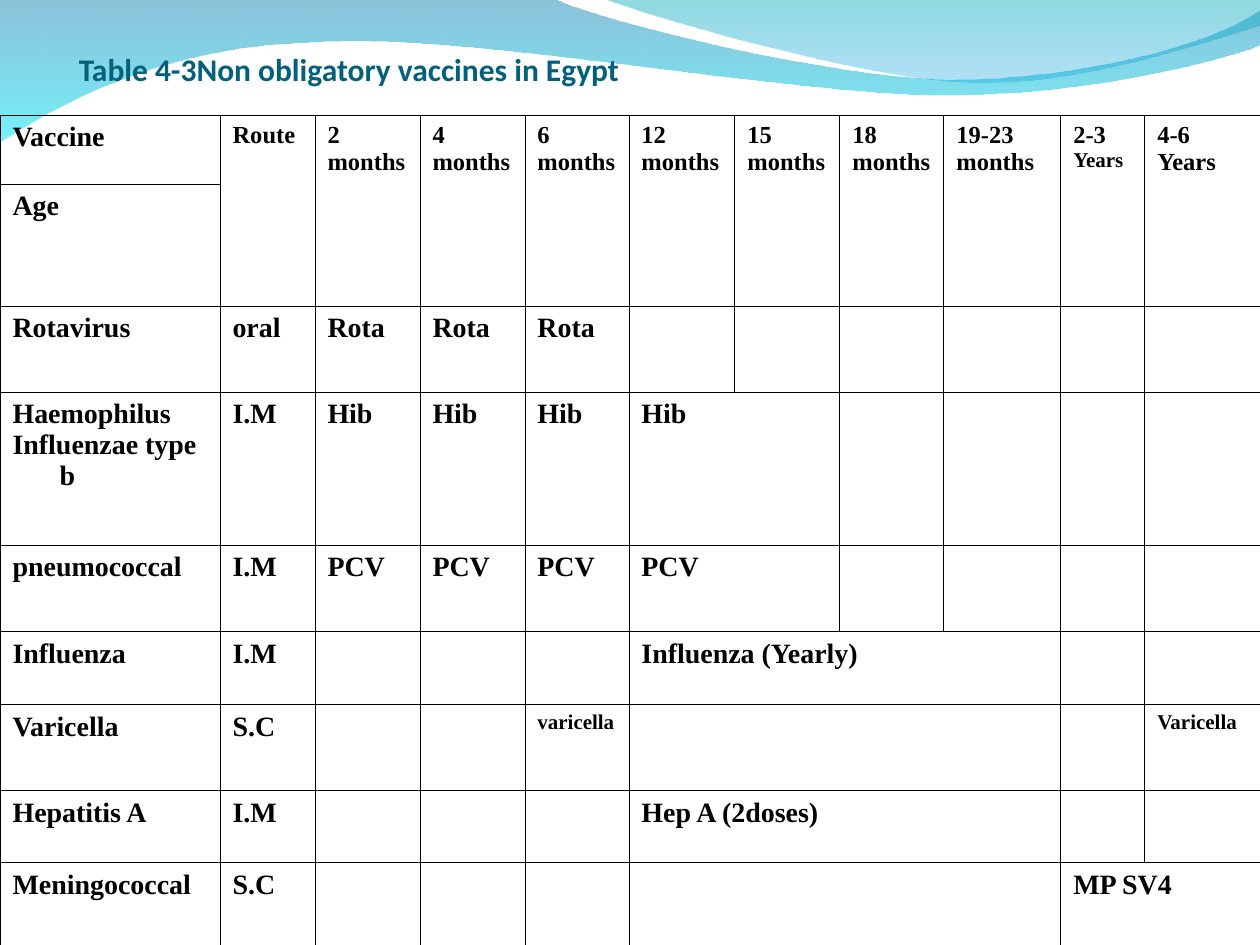
from lxml import etree
from pptx import Presentation
from pptx import util as u
from pptx.dml.color import RGBColor
from pptx.enum import text
from pptx.oxml import ns

PX = 914400 / 126
SERIF = "Times New Roman"
COLUMNS = [220, 95, 105, 105, 104, 106, 105, 104, 117, 84, 116]
ROWS = [69, 122, 86, 153, 87, 73, 86, 72, 83]
AGES = ["2\nmonths", "4\nmonths", "6\nmonths", "12\nmonths", "15\nmonths",
        "18\nmonths", "19-23\nmonths", "2-3\nYears", "4-6\nYears"]
CONTENT = [
    ["Vaccine", "Route"] + AGES,
    ["Age"],
    ["Rotavirus", "oral", "Rota", "Rota", "Rota"],
    ["Haemophilus\nInfluenzae type b", "I.M", "Hib", "Hib", "Hib", "Hib"],
    ["pneumococcal", "I.M", "PCV", "PCV", "PCV", "PCV"],
    ["Influenza", "I.M", "", "", "", "Influenza (Yearly)"],
    ["Varicella", "S.C", "", "", "varicella", "", "", "", "", "", "Varicella"],
    ["Hepatitis A", "I.M", "", "", "", "Hep A (2doses)"],
    ["Meningococcal", "S.C", "", "", "", "", "", "", "", "MP SV4"],
]
MERGES = [(0, column, 1, column) for column in range(1, len(COLUMNS))]
MERGES += [(row, 5, row, 6) for row in (3, 4)]
MERGES += [(row, 5, row, 8) for row in (5, 6, 7, 8)] + [(8, 9, 8, 10)]
SMALL_SIZES = {(0, column): [14, 14] for column in range(1, len(COLUMNS))}
SMALL_SIZES.update({(0, 9): [14, 12], (6, 4): [12], (6, 10): [12]})

LONG_WAVE = [
    [(0, -1)],
    [(554, -1)],
    [(600, 21), (837, 79), (955, 79)],
    [(1075, 79), (1207, 47), (1260, 11)],
    [(1261, 45)],
    [(1239, 55), (1096, 96), (940, 95)],
    [(784, 94), (481, 35), (324, 42)],
    [(163, 44), (58, 105), (-1, 142)],
]
RIGHT_WAVE = [
    [(604, -1)],
    [(641, 14), (859, 78), (969, 82)],
    [(1079, 87), (1211, 40), (1260, 26)],
    [(1260, 0)],
]


def px(value):
    return u.Emu(round(value * PX))


def color(value):
    return RGBColor.from_string(value)


def bend_segments(shape, segments):
    lines = iter(list(shape._element.iter(ns.qn("a:lnTo"))))
    for segment in segments:
        group = [next(lines) for _ in segment]
        if len(group) == 3:
            group[0].tag = ns.qn("a:cubicBezTo")
            for line in group[1:]:
                group[0].append(line[0])
                line.getparent().remove(line)


def add_wave(slide, segments, stops):
    points = [(px(x), px(y)) for segment in segments for x, y in segment]
    builder = slide.shapes.build_freeform(*points[0])
    builder.add_line_segments(points[1:], close=True)
    shape = builder.convert_to_shape()
    bend_segments(shape, segments[1:])
    shape.shadow.inherit = False
    shape.line.fill.background()
    shape.fill.gradient()
    shape.fill.gradient_angle = 270
    for stop, (value, opacity) in zip(shape.fill.gradient_stops, stops):
        stop.color.rgb = color(value)
        rgb = stop._gs.find(ns.qn("a:srgbClr"))
        etree.SubElement(rgb, ns.qn("a:alpha"), val=str(opacity * 1000))


def add_run(paragraph, content, *, size, font=SERIF, fill="000000", bold=True):
    run = paragraph.add_run()
    run.text = content
    run.font.size = u.Pt(size)
    run.font.name = font
    run.font.bold = bold
    run.font.color.rgb = color(fill)


def format_title(slide):
    title = slide.shapes.title
    title.left, title.top, title.width, title.height = px(63), px(31), px(1134), px(63)
    frame = title.text_frame
    frame.auto_size = text.MSO_AUTO_SIZE.NONE
    frame.vertical_anchor = text.MSO_ANCHOR.BOTTOM
    frame.margin_left = frame.margin_right = frame.margin_bottom = 0
    frame.margin_top = px(6)
    paragraph = frame.paragraphs[0]
    paragraph.alignment = text.PP_ALIGN.LEFT
    paragraph._p.get_or_add_pPr().set("rtl", "1")
    add_run(paragraph, "Table 4-3Non obligatory vaccines in Egypt",
            size=18, font="Calibri", fill="04617B")
    add_run(paragraph, " ", size=36, font="Calibri", fill="04617B", bold=False)
    slide.shapes._spTree.append(title._element)


def format_cell(cell):
    properties = cell._tc.get_or_add_tcPr()
    for side in ("lnL", "lnR", "lnT", "lnB"):
        line = etree.SubElement(properties, ns.qn(f"a:{side}"), w=str(u.Pt(0.45)))
        fill = etree.SubElement(line, ns.qn("a:solidFill"))
        etree.SubElement(fill, ns.qn("a:srgbClr"), val="000000")
    cell.fill.background()


def fill_cell(cell, content, sizes):
    frame = cell.text_frame
    for index, line in enumerate(content.split("\n")):
        paragraph = frame.add_paragraph() if index else frame.paragraphs[0]
        properties = paragraph._p.get_or_add_pPr()
        properties.set("marL", str(px(47)))
        properties.set("indent", str(px(-47)))
        add_run(paragraph, line, size=sizes[index])


def add_vaccine_table(slide):
    frame = slide.shapes.add_table(len(ROWS), len(COLUMNS), 0, px(115),
                                   px(sum(COLUMNS)), px(sum(ROWS)))
    table = frame.table
    table.first_row = table.horz_banding = False
    for column, width in zip(table.columns, COLUMNS):
        column.width = px(width)
    for row, height in zip(table.rows, ROWS):
        row.height = px(height)
    for cell in table.iter_cells():
        format_cell(cell)
    for top, left, bottom, right in MERGES:
        table.cell(top, left).merge(table.cell(bottom, right))
    for row, contents in enumerate(CONTENT):
        for column, content in enumerate(contents):
            if content:
                sizes = SMALL_SIZES.get((row, column), [16, 16])
                fill_cell(table.cell(row, column), content, sizes)


def main():
    presentation = Presentation()
    presentation.slide_width, presentation.slide_height = px(1260), px(945)
    slide = presentation.slides.add_slide(presentation.slide_layouts[5])
    add_wave(slide, LONG_WAVE, [("0079AF", 45), ("00EBF8", 55)])
    add_wave(slide, RIGHT_WAVE, [("00ADB6", 45), ("009BE5", 30)])
    format_title(slide)
    add_vaccine_table(slide)
    presentation.save("out.pptx")


if __name__ == "__main__":
    main()
